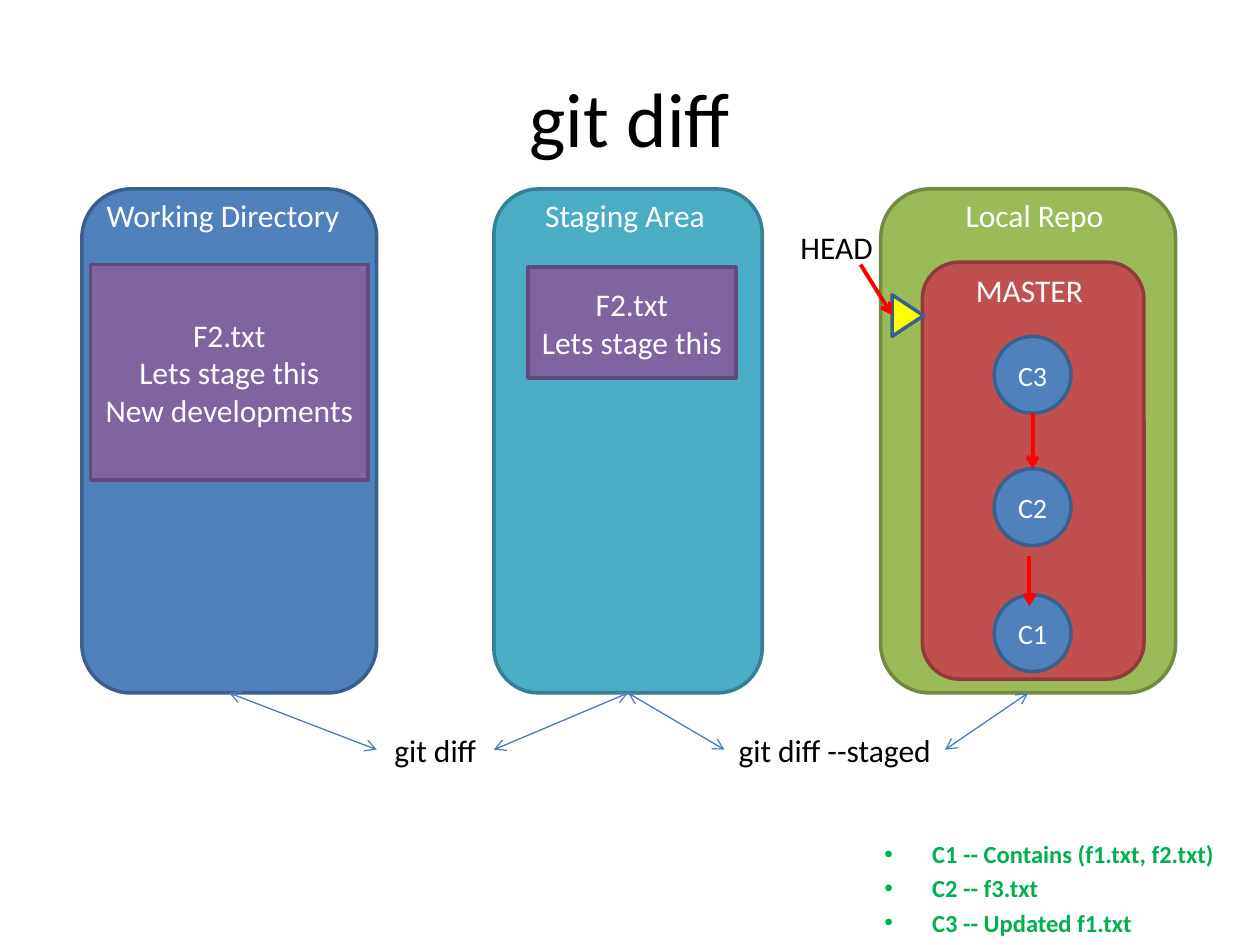
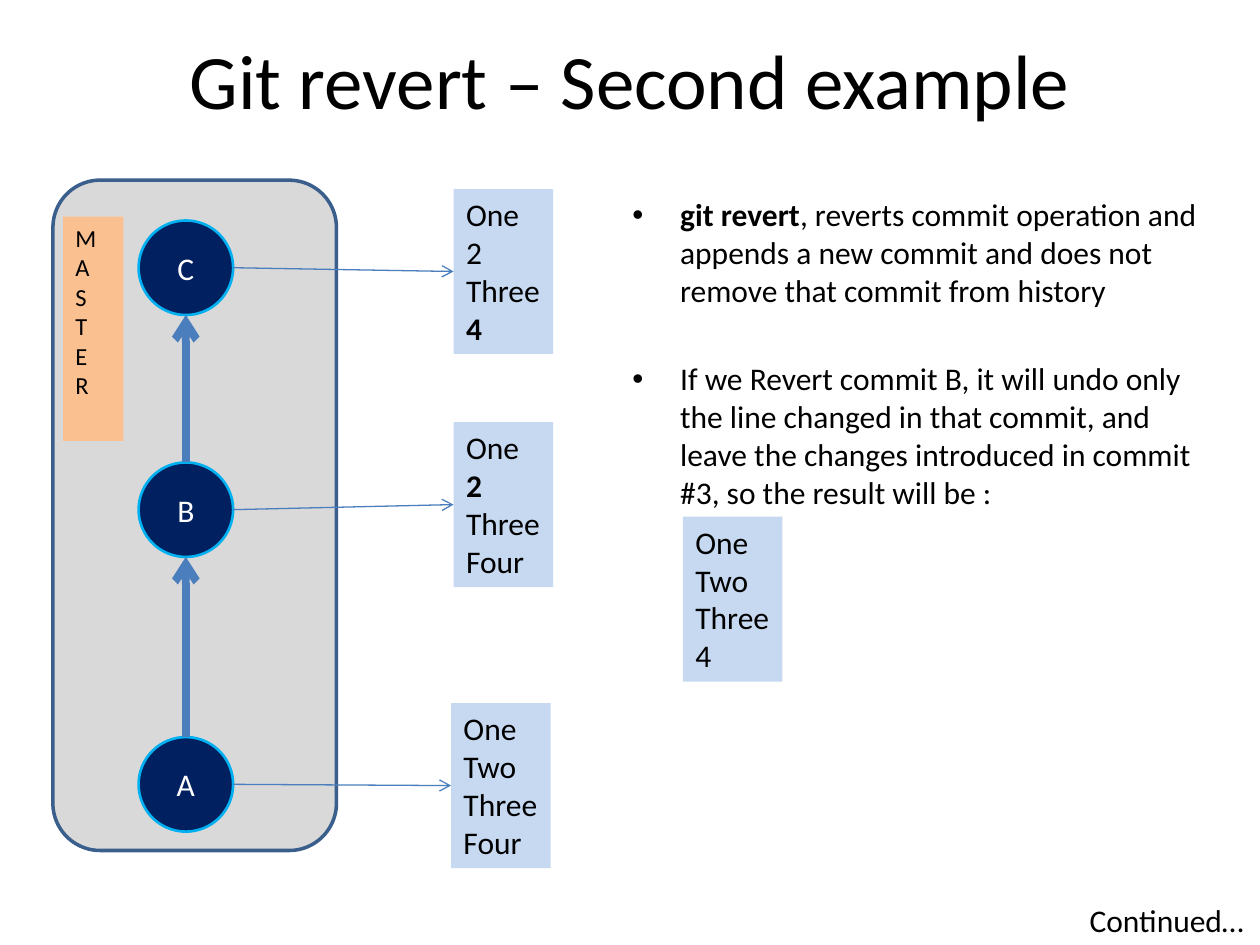
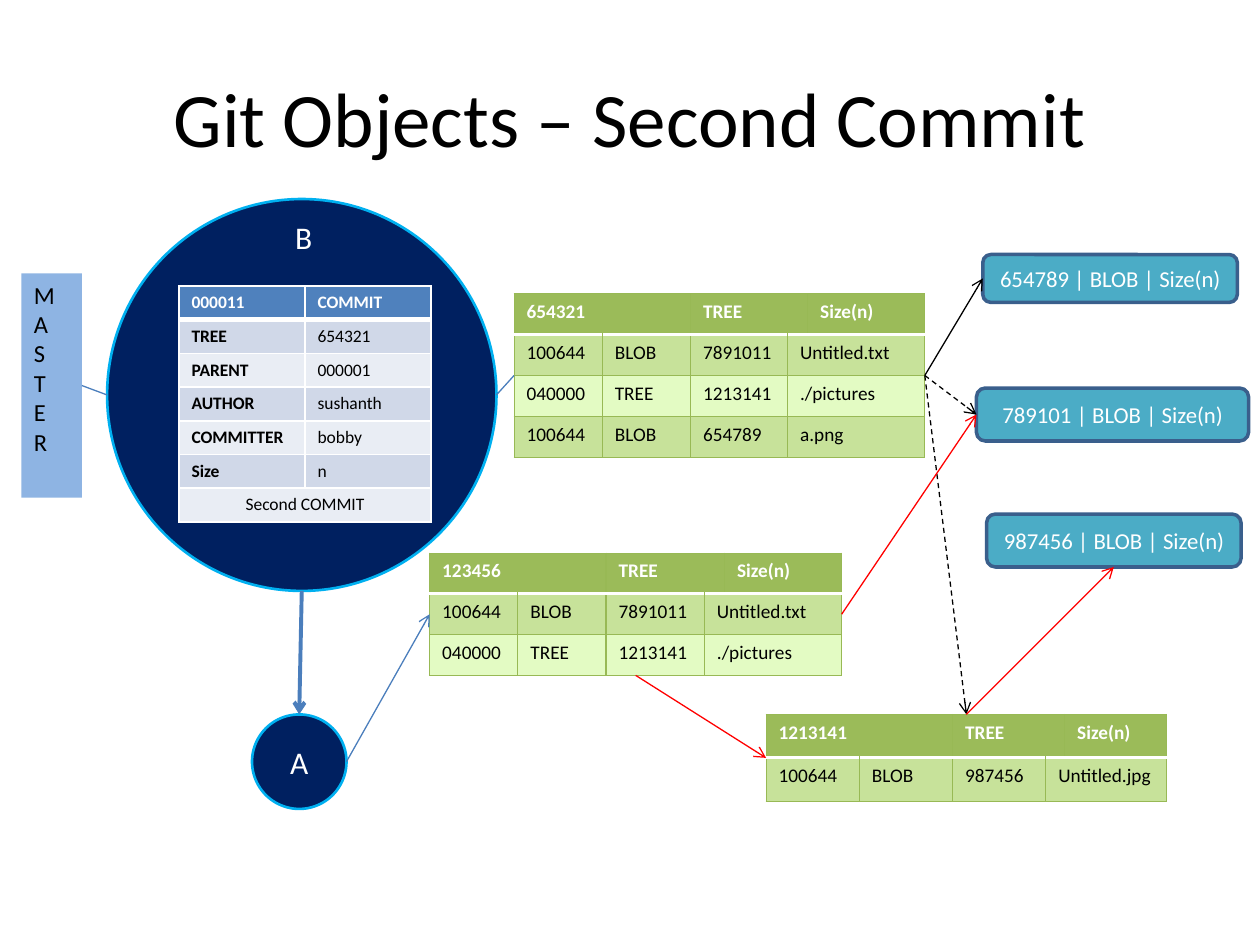
"""Builds three slides that explain git diff, git revert and git objects."""
from dataclasses import dataclass

from lxml.etree import SubElement
from pptx import Presentation
from pptx.dml.color import RGBColor
from pptx.enum.dml import MSO_LINE
from pptx.enum.shapes import MSO_CONNECTOR, MSO_SHAPE as Geo
from pptx.enum.text import MSO_ANCHOR as Anchor, MSO_AUTO_SIZE as AutoSize, PP_ALIGN as Align
from pptx.oxml.ns import qn
from pptx.util import Inches, Pt

TOP, LEFT, BOTTOM, RIGHT = range(4)


@dataclass(frozen=True)
class Theme:
    font: str = "Calibri"
    title: int = 44
    body: int = 18
    commit: int = 16
    note: int = 14
    card: int = 13
    tree: int = 11
    record: int = 10
    black: str = "000000"
    white: str = "FFFFFF"
    red: str = "FF0000"
    yellow: str = "FFFF00"
    blue: str = "4F81BD"
    blue_edge: str = "3A5F8C"
    link: str = "4B7EBC"
    teal: str = "4BACC6"
    teal_edge: str = "377F92"
    green: str = "9BBB59"
    green_edge: str = "738A42"
    green_grid: str = "98B955"
    brick: str = "C0504D"
    brick_edge: str = "8E3B39"
    purple: str = "8064A2"
    purple_edge: str = "5F4A78"
    navy: str = "002060"
    sky: str = "00B0F0"
    grey: str = "D9D9D9"
    pale_blue: str = "C6D9F1"
    flag_blue: str = "8EB4E3"
    flag_orange: str = "FAC090"
    note_green: str = "00B050"
    tree_bands: tuple = ("C7E29A", "E3FBC3")
    record_bands: tuple = ("D0D8E8", "E9EDF4")


THEME = Theme()


@dataclass(frozen=True)
class Grid:
    size: int
    head: str
    bands: tuple
    line: str
    line_width: float
    head_rule: float
    bold_labels: bool = False


TREE_GRID = Grid(THEME.tree, THEME.green, THEME.tree_bands, THEME.green_grid, 0.75, 2)
RECORD_GRID = Grid(THEME.record, THEME.blue, THEME.record_bands, THEME.white, 1, 3, True)


class Deck:
    """Holds the theme and the current slide, and draws each kind of element."""

    def __init__(self):
        self.deck = Presentation()
        self.deck.slide_width, self.deck.slide_height = Inches(10), Inches(7.5)

    def slide(self, title, top=0.3):
        self.page = self.deck.slides.add_slide(self.deck.slide_layouts[6])
        self.joinable = set()
        self.text((0.5, top, 9, 1.25), [title], size=THEME.title, anchor=Anchor.MIDDLE)

    def fill_text(self, frame, paragraphs, size, color, align, bold=False, bullet_gap=None):
        for number, runs in enumerate(paragraphs):
            paragraph = frame.add_paragraph() if number else frame.paragraphs[0]
            paragraph.alignment = align
            if bullet_gap is not None:
                properties = paragraph._p.get_or_add_pPr()
                properties.set("marL", str(Inches(0.38)))
                properties.set("indent", str(-Inches(0.38)))
                SubElement(properties, qn("a:buFont")).set("typeface", "Arial")
                SubElement(properties, qn("a:buChar")).set("char", "•")
                paragraph.space_before = Pt(bullet_gap if number else 0)
            for words, strong in [(runs, bold)] if isinstance(runs, str) else runs:
                run = paragraph.add_run()
                run.text = words
                run.font.name = THEME.font
                run.font.size = Pt(size)
                run.font.bold = strong
                run.font.color.rgb = RGBColor.from_string(color)

    def text(self, at, paragraphs, size=THEME.body, color=THEME.black, align=Align.CENTER,
             anchor=Anchor.TOP, wrap=False, **style):
        box = self.page.shapes.add_textbox(*map(Inches, at))
        box.text_frame.word_wrap = wrap
        box.text_frame.vertical_anchor = anchor
        self.fill_text(box.text_frame, paragraphs, size, color, align, **style)
        self.joinable.add(box.shape_id)
        return box

    def bullets(self, at, paragraphs, gap, **style):
        self.text(at, paragraphs, align=Align.LEFT, wrap=True, bullet_gap=gap, **style)

    def shape(self, geometry, at, fill, edge=None, paragraphs=(), width=2, size=THEME.body,
              color=THEME.white, align=Align.CENTER, anchor=Anchor.MIDDLE):
        shape = self.page.shapes.add_shape(geometry, *map(Inches, at))
        shape.shadow.inherit = False
        shape.fill.solid()
        shape.fill.fore_color.rgb = RGBColor.from_string(fill)
        if edge:
            shape.line.color.rgb = RGBColor.from_string(edge)
            shape.line.width = Pt(width)
        else:
            shape.line.fill.background()
        shape.text_frame.word_wrap = False
        shape.text_frame.vertical_anchor = anchor
        self.fill_text(shape.text_frame, paragraphs, size, color, align)
        if geometry in (Geo.RECTANGLE, Geo.ROUNDED_RECTANGLE):
            self.joinable.add(shape.shape_id)
        return shape

    def commit(self, at, name=""):
        return self.shape(Geo.OVAL, at, THEME.navy, THEME.sky, [name] if name else (), width=1.5)

    def file(self, left, top, lines):
        return self.shape(Geo.RECTANGLE, (left, top, 0.79, 1.31), THEME.pale_blue,
                          paragraphs=lines, color=THEME.black, align=Align.LEFT, anchor=Anchor.TOP)

    def branch_flag(self, left, top, fill):
        flag = self.shape(Geo.RECTANGLE, (left, top, 0.48, 1.78), fill, paragraphs=["MASTER"],
                          size=THEME.note, color=THEME.black, align=Align.LEFT, anchor=Anchor.TOP)
        flag.text_frame.auto_size = AutoSize.SHAPE_TO_FIT_TEXT
        flag.text_frame._txBody.bodyPr.set("vert", "wordArtVert")
        return flag

    def locate(self, end):
        target, place = end
        if isinstance(target, (int, float)):
            return Inches(target), Inches(place)
        across, down = ((0.5, 0), (0, 0.5), (0.5, 1), (1, 0.5))[place]
        return int(target.left + target.width * across), int(target.top + target.height * down)

    def link(self, start, end, color=THEME.link, width=0.75, heads=("tailEnd",), dashed=False):
        link = self.page.shapes.add_connector(
            MSO_CONNECTOR.STRAIGHT, *self.locate(start), *self.locate(end))
        for (target, place), join in ((start, link.begin_connect), (end, link.end_connect)):
            if getattr(target, "shape_id", None) in self.joinable:
                join(target, place)
        link.line.color.rgb = RGBColor.from_string(color)
        link.line.width = Pt(width)
        if dashed:
            link.line.dash_style = MSO_LINE.DASH
        properties = link._element.spPr
        for head in heads:
            SubElement(properties.find(qn("a:ln")), qn(f"a:{head}")).set("type", "arrow")
        SubElement(properties, qn("a:effectLst"))

    def border(self, cell, side, color, width):
        line = SubElement(cell._tc.get_or_add_tcPr(), qn(f"a:ln{side}"), w=str(Pt(width)))
        SubElement(SubElement(line, qn("a:solidFill")), qn("a:srgbClr")).set("val", color)

    def table(self, left, top, columns, height, rows, grid):
        """Draws a table in which None extends the cell on its left."""
        frame = self.page.shapes.add_table(
            len(rows), len(columns), *map(Inches, (left, top, sum(columns), height)))
        table = frame.table
        table.first_row = table.horz_banding = False
        for column, width in zip(table.columns, columns):
            column.width = Inches(width)
        for r, row in enumerate(rows):
            full_width = not any(row[1:])
            for c, words in enumerate(row):
                cell = table.cell(r, c)
                rule = (THEME.white, grid.head_rule)
                plain = (grid.line, grid.line_width)
                for side in "LRTB":
                    ruled = (r, side) in ((0, "B"), (1, "T"))
                    self.border(cell, side, *(rule if ruled else plain))
                cell.fill.solid()
                fill = grid.bands[(r - 1) % 2] if r else grid.head
                cell.fill.fore_color.rgb = RGBColor.from_string(fill)
                if words is None:
                    table.cell(r, c - 1).merge(cell)
                    continue
                label = grid.bold_labels and c == 0 and not full_width
                self.fill_text(cell.text_frame, [words], grid.size,
                               THEME.black if r else THEME.white,
                               Align.CENTER if full_width else Align.LEFT, bold=r == 0 or label)
        return frame

    def tree(self, left, top, columns, height, name, entries):
        rows = [[name, None, "TREE", None, "Size(n)"]] + [[*entry, None] for entry in entries]
        return self.table(left, top, columns, height, rows, TREE_GRID)


def draw_diff(deck):
    deck.slide("git diff")
    areas = []
    for name, left, width, label_left, fill, edge in (
            ("Working Directory", 0.65, 2.34, 0.73, THEME.blue, THEME.blue_edge),
            ("Staging Area", 3.92, 2.13, 3.92, THEME.teal, THEME.teal_edge),
            ("Local Repo", 6.99, 2.34, 7.17, THEME.green, THEME.green_edge)):
        areas.append(deck.shape(Geo.ROUNDED_RECTANGLE, (left, 1.5, width, 4), fill, edge))
        deck.text((label_left, 1.51, 2.08, 0.4), [name], color=THEME.white)
    working, staging, repo = areas

    deck.shape(Geo.ROUNDED_RECTANGLE, (7.32, 2.08, 1.76, 3.31), THEME.brick, THEME.brick_edge)
    deck.text((7.62, 2.1, 1.1, 0.4), ["MASTER"], color=THEME.white)
    c3, c2, _ = [
        deck.shape(Geo.FLOWCHART_CONNECTOR, (7.89, top, 0.61, 0.61), THEME.blue,
                   THEME.blue_edge, [name], size=THEME.commit)
        for name, top in (("C3", 2.67), ("C2", 3.72), ("C1", 4.72))]
    deck.shape(Geo.ISOSCELES_TRIANGLE, (7.04, 2.38, 0.33, 0.25), THEME.yellow,
               THEME.blue_edge).rotation = 90
    for start, end in (((c3, BOTTOM), (c2, TOP)), ((8.17, 4.41), (8.17, 4.81)),
                       ((6.83, 2.1), (7.08, 2.5))):
        deck.link(start, end, THEME.red, 2.25)
    deck.text((6.25, 1.76, 0.78, 0.4), ["HEAD"])

    staged = ["F2.txt", "Lets stage this"]
    for at, lines in (((0.72, 2.1, 2.2, 1.71), staged + ["New developments"]),
                      ((4.19, 2.12, 1.65, 0.88), staged)):
        deck.shape(Geo.RECTANGLE, at, THEME.purple, THEME.purple_edge, lines)

    for command, left, width, before, after in (
            ("git diff", 2.99, 0.93, working, staging),
            ("git diff --staged", 5.75, 1.75, staging, repo)):
        label = deck.text((left, 5.75, width, 0.4), [command])
        for start, end in (((before, BOTTOM), (label, LEFT)), ((label, RIGHT), (after, BOTTOM))):
            deck.link(start, end, heads=("headEnd", "tailEnd"))

    deck.bullets((6.92, 6.61, 3.26, 1.14),
                 ["C1 -- Contains (f1.txt, f2.txt)", "C2 -- f3.txt", "C3 -- Updated f1.txt"],
                 gap=2.8, size=THEME.note, color=THEME.note_green, bold=True)


def draw_revert(deck):
    deck.slide("Git revert – Second example", top=0)
    deck.shape(Geo.ROUNDED_RECTANGLE, (0.42, 1.43, 2.25, 5.32), THEME.grey, THEME.blue_edge)
    deck.branch_flag(0.5, 1.72, THEME.flag_orange)
    newer = None
    for name, top, file_left, file_top, lines in (
            ("C", 1.75, 3.6, 1.5, ["One", "2", "Three", [("4", True)]]),
            ("B", 3.67, 3.6, 3.35, ["One", [("2", True)], "Three", "Four"]),
            ("A", 5.85, 3.58, 5.58, ["One", "Two", "Three", "Four"])):
        commit = deck.commit((1.1, top, 0.75, 0.75), name)
        content = deck.file(file_left, file_top, lines)
        deck.link((commit, RIGHT), (content, LEFT))
        if newer:
            deck.link((commit, TOP), (newer, BOTTOM), width=4.5)
        newer = commit
    deck.bullets((4.92, 1.5, 4.83, 2.59), [
        [("git revert", True),
         (", reverts commit operation and appends a new commit and does not remove that "
          "commit from history", False)],
        "If we Revert commit B, it will undo only the line changed in that commit, and leave "
        "the changes introduced in commit #3, so the result will be :"], gap=29)
    deck.file(5.42, 4.1, ["One", "Two", "Three", "4"])
    deck.text((8.54, 7.1, 1.44, 0.4), ["Continued…"])


def draw_objects(deck):
    deck.slide("Git Objects – Second Commit")
    second = deck.commit((0.85, 1.58, 3.09, 3.11))
    first = deck.commit((2, 5.67, 0.75, 0.75), "A")
    deck.text((2.24, 1.68, 0.34, 0.4), ["B"], color=THEME.white)
    flag = deck.branch_flag(0.17, 2.17, THEME.flag_blue)
    deck.table(1.42, 2.27, (1, 1), 1.87, [
        ["000011", "COMMIT"],
        ["TREE", "654321"],
        ["PARENT", "000001"],
        ["AUTHOR", "sushanth"],
        ["COMMITTER", "bobby"],
        ["Size", "n"],
        ["Second COMMIT", None]], RECORD_GRID)

    shared = [("100644", "BLOB", "7891011", "Untitled.txt"),
              ("040000", "TREE", "1213141", "./pictures")]
    first_tree = deck.tree(3.41, 4.39, (0.7, 0.7, 0.78, 0.16, 0.93), 0.97, "123456", shared)
    second_tree = deck.tree(4.08, 2.33, (0.7, 0.7, 0.77, 0.16, 0.93), 1.3, "654321",
                            shared + [("100644", "BLOB", "654789", "a.png")])
    pictures = deck.tree(6.08, 5.67, (0.74, 0.74, 0.74, 0.15, 0.81), 0.69, "1213141",
                         [("100644", "BLOB", "987456", "Untitled.jpg")])
    image, note, photo = [
        deck.shape(Geo.ROUNDED_RECTANGLE, at, THEME.teal, THEME.blue_edge,
                   [f"{key} | BLOB | Size(n)"], size=THEME.card)
        for key, at in (("654789", (7.8, 2.02, 2.02, 0.38)),
                        ("789101", (7.75, 3.08, 2.16, 0.42)),
                        ("987456", (7.83, 4.08, 2.02, 0.42)))]

    deck.link((flag, RIGHT), (second, LEFT), heads=())
    deck.link((second, RIGHT), (second_tree, LEFT), heads=())
    deck.link((second, BOTTOM), (first, TOP), width=2.25)
    deck.link((first, RIGHT), (first_tree, LEFT))
    for end, dashed in (((image, LEFT), False), ((pictures, TOP), True), ((note, LEFT), True)):
        deck.link((second_tree, RIGHT), end, THEME.black, dashed=dashed)
    for start, end in (((first_tree, RIGHT), (note, LEFT)),
                       ((first_tree, BOTTOM), (pictures, LEFT)),
                       ((pictures, TOP), (photo, BOTTOM))):
        deck.link(start, end, THEME.red)


def main():
    deck = Deck()
    for draw in (draw_diff, draw_revert, draw_objects):
        draw(deck)
    deck.deck.save("out.pptx")


if __name__ == "__main__":
    main()
